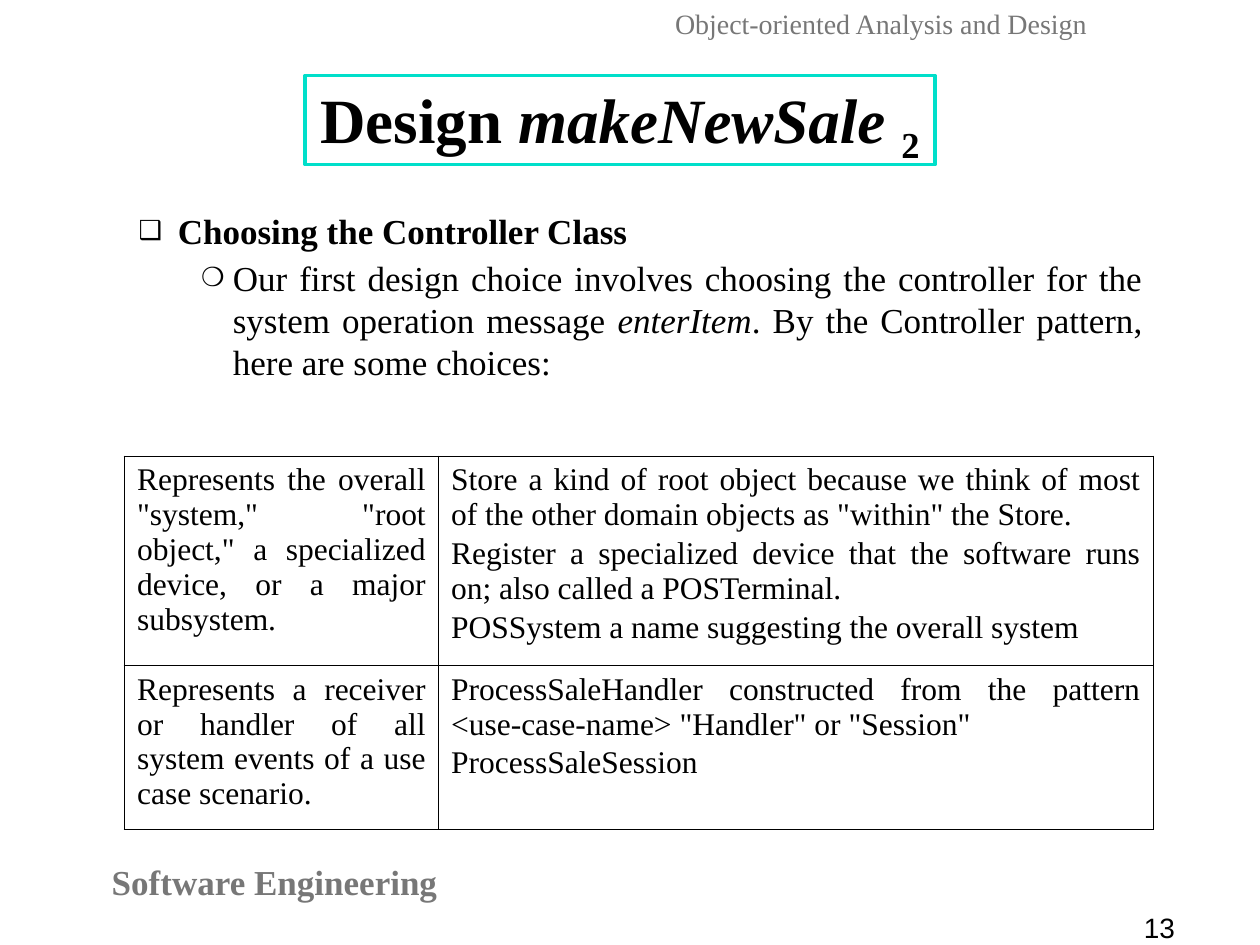
from lxml import etree
from pptx import Presentation
from pptx.dml.color import RGBColor
from pptx.enum.text import MSO_ANCHOR, MSO_AUTO_SIZE, PP_ALIGN
from pptx.oxml.ns import qn
from pptx.util import Cm, Pt

LEFT, CENTER, JUSTIFY = PP_ALIGN.LEFT, PP_ALIGN.CENTER, PP_ALIGN.JUSTIFY
MIDDLE, TOP = MSO_ANCHOR.MIDDLE, MSO_ANCHOR.TOP
NO_AUTOFIT = MSO_AUTO_SIZE.NONE
SERIF, SANS = "Times New Roman", "Arial"
BLACK, GREY, WHITE, TURQUOISE = "000000", "777777", "FFFFFF", "00DFCA"
OUTER_BORDER, INNER_BORDER = 1.08, 0.45

CHOICES = [
    [
        ['Represents the overall "system," "root object," a specialized device, '
         'or a major subsystem.'],
        ['Store a kind of root object because we think of most of the other '
         'domain objects as "within" the Store.',
         'Register a specialized device that the software runs on; also called '
         'a POSTerminal.',
         'POSSystem a name suggesting the overall system'],
    ],
    [
        ['Represents a receiver or handler of all system events of a use case '
         'scenario.'],
        ['ProcessSaleHandler constructed from the pattern <use-case-name> '
         '"Handler" or "Session"',
         'ProcessSaleSession'],
    ],
]


def color(value):
    """Return the colour for a hex string."""
    return RGBColor.from_string(value)


def place(shape, left, top, width, height):
    """Move and size a shape, in centimetres."""
    shape.left, shape.top = Cm(left), Cm(top)
    shape.width, shape.height = Cm(width), Cm(height)


def format_para(para, size, fill=BLACK, align=LEFT, before=0, name=SERIF, bold=False):
    """Set the alignment, spacing and font of a paragraph."""
    para.alignment = align
    para.space_before = Pt(before)
    font = para.font
    font.name, font.size, font.bold = name, Pt(size), bold
    font.color.rgb = color(fill)


def add_span(para, text, italic=None):
    """Add a run of text to a paragraph."""
    span = para.add_run()
    span.text = text
    span.font.italic = italic
    return span


def set_bullet(para, character, margin, indent):
    """Give a paragraph a black bullet and a hanging indent."""
    properties = para._p.get_or_add_pPr()
    properties.set("marL", str(Cm(margin)))
    properties.set("indent", str(Cm(indent)))
    bullet_color = etree.SubElement(properties, qn("a:buClr"))
    etree.SubElement(bullet_color, qn("a:srgbClr"), val=BLACK)
    etree.SubElement(properties, qn("a:buSzPct"), val="75000")
    etree.SubElement(properties, qn("a:buChar"), char=character)


def add_label(slide, text, bounds, size, **formatting):
    """Add a one-line text box."""
    box = slide.shapes.add_textbox(0, 0, 0, 0)
    place(box, *bounds)
    box.text_frame.word_wrap = True
    para = box.text_frame.paragraphs[0]
    para.text = text
    format_para(para, size, **formatting)


def fill_title(title):
    """Write the framed title."""
    place(title, 6.15, 1.52, 12.7, 1.8)
    title.fill.solid()
    title.fill.fore_color.rgb = color(WHITE)
    title.line.color.rgb = color(TURQUOISE)
    title.line.width = Pt(2)
    frame = title.text_frame
    frame.auto_size, frame.word_wrap = NO_AUTOFIT, False
    frame.vertical_anchor = MIDDLE
    para = frame.paragraphs[0]
    format_para(para, 36, align=CENTER, bold=True)
    para.line_spacing = 0.9
    add_span(para, "Design ")
    add_span(para, "makeNewSale ", italic=True)
    subscript = add_span(para, "2")
    subscript._r.get_or_add_rPr().set("baseline", "-25000")


def fill_body(body):
    """Write the heading and the explanation below it."""
    place(body, 2.54, 4.1, 20.75, 6.32)
    frame = body.text_frame
    frame.auto_size, frame.vertical_anchor = NO_AUTOFIT, TOP
    heading = frame.paragraphs[0]
    set_bullet(heading, "❑", 0.79, -0.79)
    format_para(heading, 20, align=JUSTIFY, bold=True)
    add_span(heading, "Choosing the Controller Class")
    detail = frame.add_paragraph()
    detail.level = 1
    set_bullet(detail, "❍", 1.9, -0.64)
    format_para(detail, 20, align=JUSTIFY, before=2.5)
    add_span(detail, "Our first design choice involves choosing the controller "
                     "for the system operation message ")
    add_span(detail, "enterItem", italic=True)
    add_span(detail, ". By the Controller pattern, here are some choices:")


def set_borders(cell, outer_sides):
    """Draw thick borders on the outer sides and thin ones elsewhere."""
    properties = cell._tc.get_or_add_tcPr()
    for side in "LRTB":
        width = OUTER_BORDER if side in outer_sides else INNER_BORDER
        line = etree.SubElement(properties, qn(f"a:ln{side}"), w=str(Pt(width)))
        fill = etree.SubElement(line, qn("a:solidFill"))
        etree.SubElement(fill, qn("a:srgbClr"), val=BLACK)


def fill_cell(cell, texts):
    """Write one justified paragraph per text."""
    frame = cell.text_frame
    for index, text in enumerate(texts):
        para = frame.add_paragraph() if index else frame.paragraphs[0]
        para.text = text
        format_para(para, 18, align=JUSTIFY, before=2.2 if index else 0)


def add_choices_table(slide):
    """Add the table of controller choices."""
    table = slide.shapes.add_table(
        2, 2, Cm(2.51), Cm(9.2), Cm(20.74), Cm(7.52)).table
    table.first_row = table.horz_banding = False
    for column, width in zip(table.columns, (6.33, 14.41)):
        column.width = Cm(width)
    for row, height in zip(table.rows, (4.22, 3.3)):
        row.height = Cm(height)
    for row_index, row in enumerate(CHOICES):
        for column_index, texts in enumerate(row):
            cell = table.cell(row_index, column_index)
            set_borders(cell, "TB"[row_index] + "LR"[column_index])
            cell.fill.background()
            fill_cell(cell, texts)


def main():
    """Build and save the slide."""
    deck = Presentation()
    deck.slide_width, deck.slide_height = Cm(25.4), Cm(19.05)
    page = deck.slides.add_slide(deck.slide_layouts[1])
    add_label(page, "Software Engineering", (1.47, 17.22, 8.13, 1.09), 20,
              fill=GREY, align=CENTER, bold=True)
    add_label(page, "13", (22.81, 18.24, 3.28, 1.02), 16, name=SANS)
    add_label(page, "Object-oriented Analysis and Design",
              (13.36, 0, 8.95, 0.91), 16, fill=GREY)
    fill_title(page.shapes.title)
    fill_body(page.placeholders[1])
    add_choices_table(page)
    deck.save("out.pptx")


if __name__ == "__main__":
    main()
